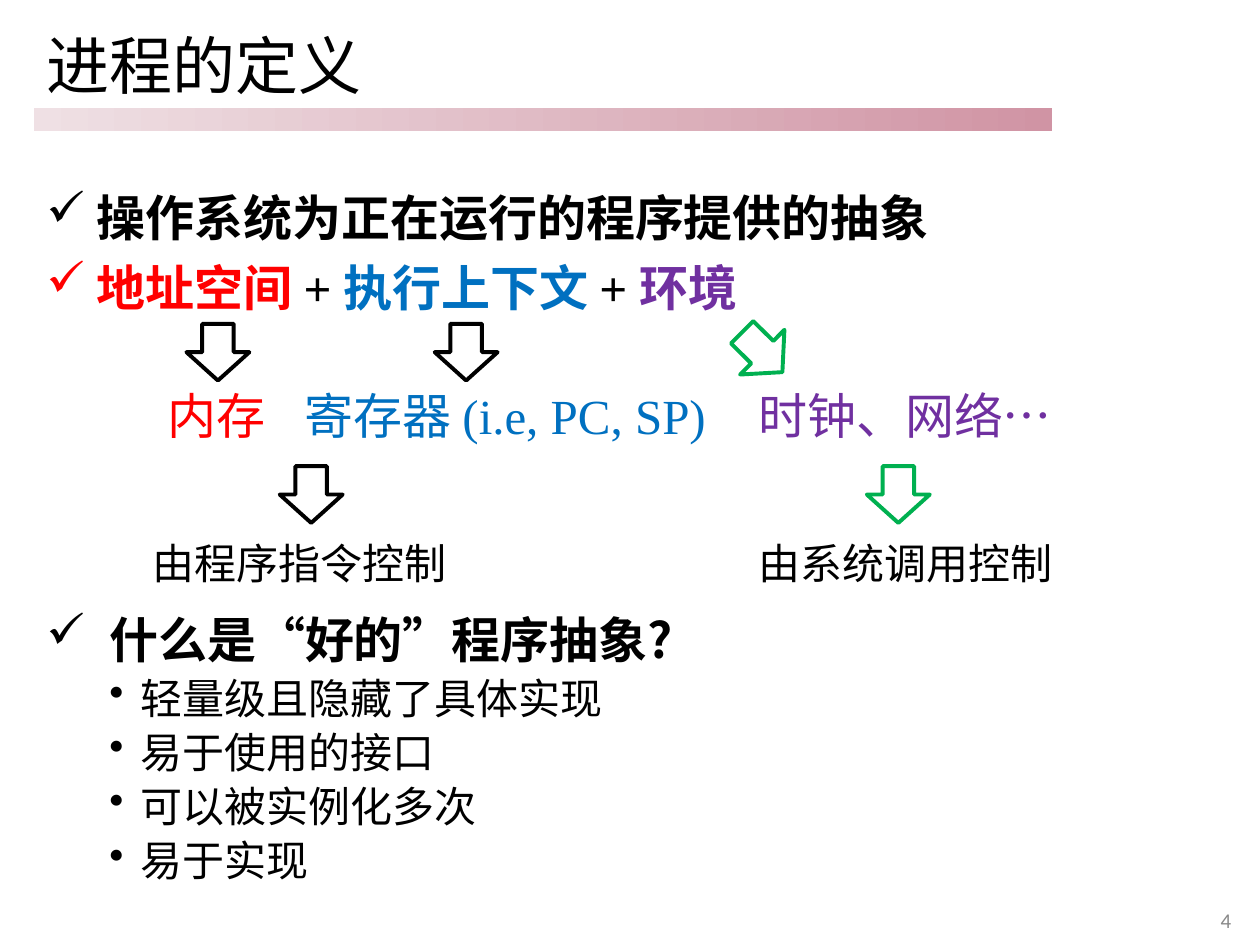
from dataclasses import dataclass

from lxml.etree import SubElement
from pptx import Presentation
from pptx.dml.color import RGBColor
from pptx.enum.shapes import MSO_SHAPE
from pptx.enum.text import MSO_ANCHOR, PP_ALIGN
from pptx.oxml.ns import qn
from pptx.slide import Slide
from pptx.text.text import TextFrame
from pptx.util import Inches, Pt


@dataclass(frozen=True)
class Theme:
    black: str = "000000"
    red: str = "FF0000"
    blue: str = "0070C0"
    purple: str = "7030A0"
    green: str = "00B050"
    gray: str = "898989"
    bar_light: str = "EFE0E4"
    bar_dark: str = "D094A4"
    sans: str = "Noto Sans CJK SC"
    serif: str = "Times New Roman"
    number_font: str = "Calibri"
    title_size: int = 36
    body_size: int = 28
    detail_size: int = 24
    number_size: int = 12


THEME = Theme()
LINE_HEIGHT = {THEME.body_size: Pt(30), THEME.detail_size: Pt(26)}


@dataclass(frozen=True)
class Span:
    text: str
    color: str = THEME.black
    font: str = THEME.sans
    bold: bool = False


@dataclass(frozen=True)
class Arrow:
    left: float
    top: float
    color: str = THEME.black
    rotation: float = 0


@dataclass(frozen=True)
class Label:
    text: str
    left: float
    top: float
    size: int
    color: str = THEME.black


def add_box(page: Slide, left: float, top: float, width: float, height: float,
            anchor: MSO_ANCHOR = MSO_ANCHOR.TOP) -> TextFrame:
    frame = page.shapes.add_textbox(
        Inches(left), Inches(top), Inches(width), Inches(height)).text_frame
    frame.word_wrap = True
    frame.vertical_anchor = anchor
    return frame


def write(frame: TextFrame, *spans: Span, size: int, bullet: str = "",
          margin: float = 0, hanging: float = 0, before: float = 0,
          spacing: float | None = None, align: PP_ALIGN = PP_ALIGN.LEFT) -> None:
    first = frame.paragraphs[0]
    para = frame.add_paragraph() if first.runs else first
    if bullet:
        properties = para._p.get_or_add_pPr()
        properties.set("marL", str(Inches(margin)))
        properties.set("indent", str(-Inches(hanging)))
        SubElement(properties, qn("a:buChar")).set("char", bullet)
    para.alignment = align
    para.line_spacing = spacing or LINE_HEIGHT[size]
    para.space_before = Pt(before)
    for span in spans:
        run = para.add_run()
        run.text = span.text
        run.font.size = Pt(size)
        run.font.bold = span.bold
        run.font.name = span.font
        run.font.color.rgb = RGBColor.from_string(span.color)
        east_asian = SubElement(run._r.get_or_add_rPr(), qn("a:ea"))
        east_asian.set("typeface", THEME.sans)


def add_title_bar(page: Slide) -> None:
    bar = page.shapes.add_shape(MSO_SHAPE.RECTANGLE, Inches(0.27), Inches(0.86),
                                Inches(8.08), Inches(0.18))
    bar.shadow.inherit = False
    bar.line.fill.background()
    bar.fill.gradient()
    bar.fill.gradient_angle = 0
    for stop, color in zip(bar.fill.gradient_stops, (THEME.bar_light, THEME.bar_dark)):
        stop.color.rgb = RGBColor.from_string(color)


def add_arrow(page: Slide, arrow: Arrow) -> None:
    shape = page.shapes.add_shape(MSO_SHAPE.DOWN_ARROW, Inches(arrow.left),
                                  Inches(arrow.top), Inches(0.5), Inches(0.45))
    shape.shadow.inherit = False
    shape.fill.background()
    shape.line.color.rgb = RGBColor.from_string(arrow.color)
    shape.line.width = Pt(2.25)
    shape.rotation = arrow.rotation


def add_label(page: Slide, label: Label) -> None:
    frame = add_box(page, label.left, label.top, 3.48, 0.6)
    write(frame, Span(label.text, label.color, THEME.serif), size=label.size)


def add_definition(page: Slide) -> None:
    frame = add_box(page, 0.27, 1.49, 9.6, 1.1)
    check = {"size": THEME.body_size, "bullet": "✓", "margin": 0.4, "hanging": 0.4}
    write(frame, Span("操作系统为正在运行的程序提供的抽象", bold=True), **check)
    write(frame,
          Span("地址空间", THEME.red, THEME.serif, True),
          Span(" + ", font=THEME.serif, bold=True),
          Span("执行上下文 ", THEME.blue, THEME.serif, True),
          Span("+ ", font=THEME.serif, bold=True),
          Span("环境", THEME.purple, THEME.serif, True),
          before=10, **check)


def add_question(page: Slide) -> None:
    frame = add_box(page, 0.27, 4.84, 9.6, 2.2)
    write(frame, Span("什么是“好的”", font=THEME.serif, bold=True),
          Span("程序抽象?", bold=True),
          size=THEME.body_size, bullet="✓", margin=0.5, hanging=0.5)
    for quality in ("轻量级且隐藏了具体实现", "易于使用的接口", "可以被实例化多次", "易于实现"):
        write(frame, Span(quality), size=THEME.detail_size, bullet="•",
              margin=0.75, hanging=0.25, before=5)


ARROWS = (
    Arrow(1.48, 2.57),
    Arrow(3.45, 2.57),
    Arrow(5.8, 2.57, THEME.green, 314.8),
    Arrow(2.22, 3.7),
    Arrow(6.88, 3.7, THEME.green),
)
LABELS = (
    Label("内存", 1.23, 3.06, THEME.body_size, THEME.red),
    Label("寄存器 (i.e, PC, SP)", 2.32, 3.06, THEME.body_size, THEME.blue),
    Label("时钟、网络…", 5.92, 3.06, THEME.body_size, THEME.purple),
    Label("由程序指令控制", 1.11, 4.26, THEME.detail_size),
    Label("由系统调用控制", 5.92, 4.26, THEME.detail_size),
)


def main() -> None:
    deck = Presentation()
    deck.slide_width, deck.slide_height = Inches(10), Inches(7.5)
    page = deck.slides.add_slide(deck.slide_layouts[6])
    add_title_bar(page)
    title = add_box(page, 0.27, 0.22, 8.62, 0.66, MSO_ANCHOR.MIDDLE)
    write(title, Span("进程的定义"), size=THEME.title_size, spacing=0.9)
    add_definition(page)
    add_question(page)
    for arrow in ARROWS:
        add_arrow(page, arrow)
    for label in LABELS:
        add_label(page, label)
    number = add_box(page, 7.62, 7.1, 2.25, 0.4, MSO_ANCHOR.MIDDLE)
    write(number, Span("4", THEME.gray, THEME.number_font),
          size=THEME.number_size, spacing=1.0, align=PP_ALIGN.RIGHT)
    deck.save("out.pptx")


if __name__ == "__main__":
    main()
